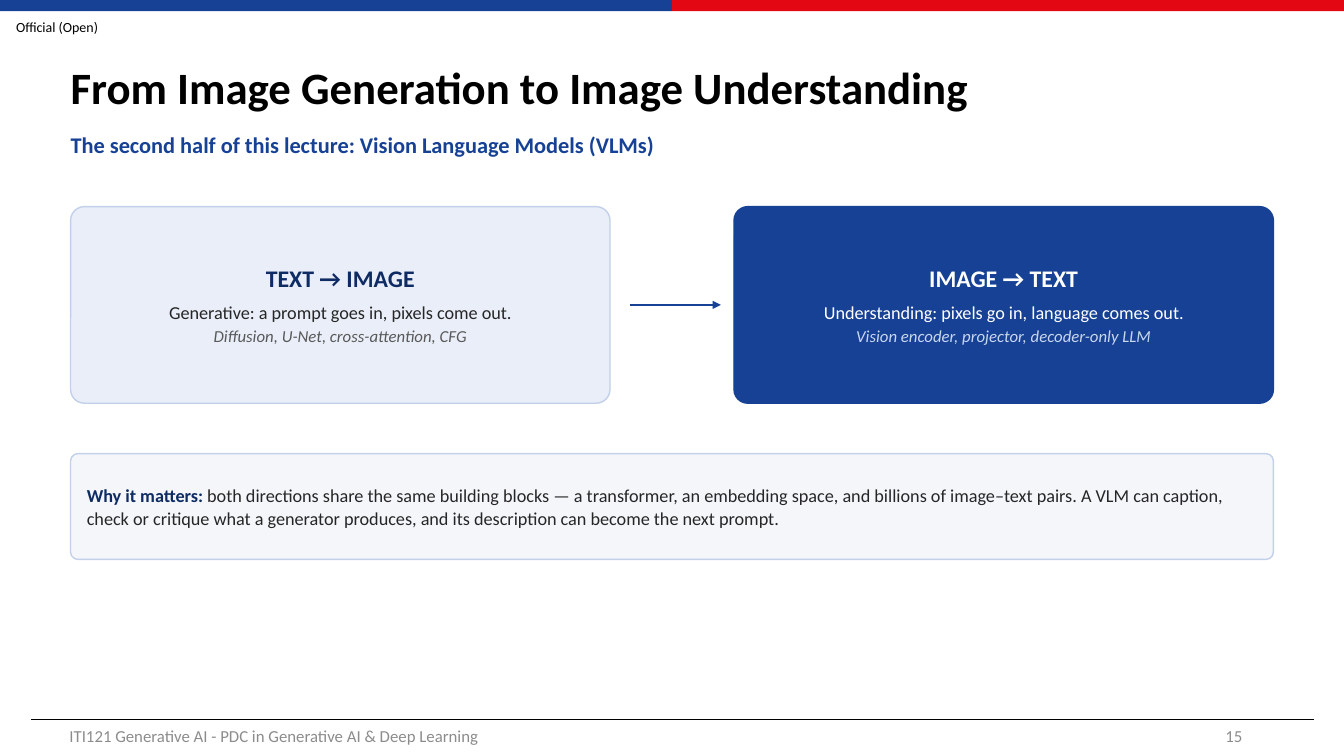
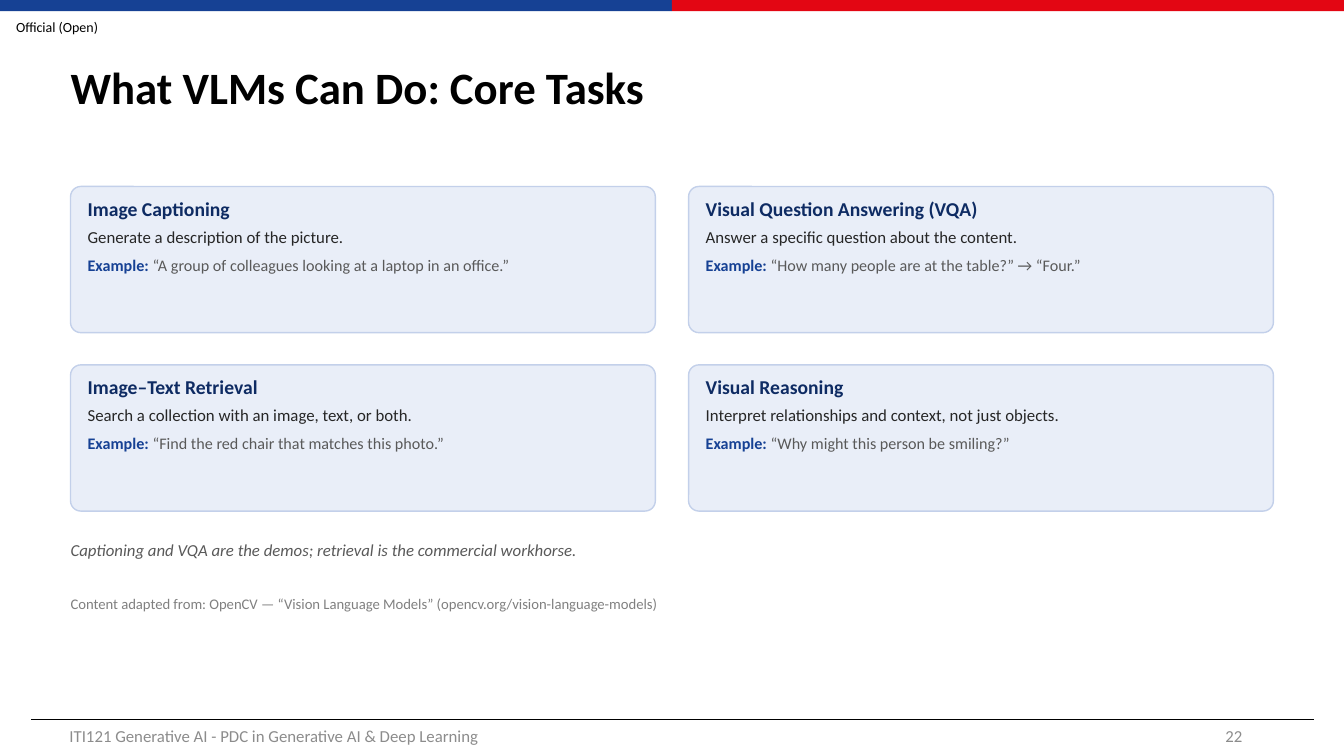
from lxml import etree
from pptx import Presentation
from pptx.dml.color import RGBColor
from pptx.enum.shapes import MSO_CONNECTOR, MSO_SHAPE
from pptx.enum.text import MSO_ANCHOR, PP_ALIGN
from pptx.oxml.ns import qn
from pptx.util import Pt

ROUNDED, RECTANGLE = MSO_SHAPE.ROUNDED_RECTANGLE, MSO_SHAPE.RECTANGLE
STRAIGHT = MSO_CONNECTOR.STRAIGHT
TOP, MIDDLE = MSO_ANCHOR.TOP, MSO_ANCHOR.MIDDLE
LEFT, CENTER, RIGHT = PP_ALIGN.LEFT, PP_ALIGN.CENTER, PP_ALIGN.RIGHT

EMU_PER_PX = 9144
SLIDE_WIDTH, SLIDE_HEIGHT = 1333, 750
MARGIN, CONTENT_WIDTH = 70, 1193
FONT = "Calibri"
TITLE_ONLY = 5

BLUE, RED, NAVY = "164194", "E30613", "0E2B63"
PALE, PANEL, BORDER, ICE = "E9EEF8", "F4F6FA", "C3D0EA", "C9D7F0"
BLACK, WHITE, INK = "000000", "FFFFFF", "262626"
GREY, FOOTER_GREY, SOURCE_GREY = "595959", "8C8C8C", "808080"

NO_INSETS = (0, 0)
FOOTER_INSETS = (10, 5)
CARD_INSETS = (14, 9)

COURSE = "ITI121 Generative AI - PDC in Generative AI & Deep Learning"
TASKS = [
    ("Image Captioning", "Generate a description of the picture.",
     "“A group of colleagues looking at a laptop in an office.”"),
    ("Visual Question Answering (VQA)",
     "Answer a specific question about the content.",
     "“How many people are at the table?” → “Four.”"),
    ("Image–Text Retrieval",
     "Search a collection with an image, text, or both.",
     "“Find the red chair that matches this photo.”"),
    ("Visual Reasoning",
     "Interpret relationships and context, not just objects.",
     "“Why might this person be smiling?”"),
]


def px(length):
    return round(length * EMU_PER_PX)


def rgb(value):
    return RGBColor.from_string(value)


def span(text, size, color, bold=False, italic=False):
    return text, size, color, bold, italic


def line(*spans, after=0, spacing=1.0):
    return spans, after, spacing


def write(frame, lines, insets, anchor=TOP, align=LEFT):
    frame.word_wrap = True
    frame.vertical_anchor = anchor
    frame.margin_left = frame.margin_right = px(insets[0])
    frame.margin_top = frame.margin_bottom = px(insets[1])
    for index, (spans, after, spacing) in enumerate(lines):
        paragraph = frame.add_paragraph() if index else frame.paragraphs[0]
        paragraph.alignment = align
        paragraph.space_after = Pt(after)
        paragraph.line_spacing = spacing
        for text, size, color, bold, italic in spans:
            run = paragraph.add_run()
            run.text = text
            run.font.name = FONT
            run.font.size = Pt(size)
            run.font.color.rgb = rgb(color)
            run.font.bold = bold
            run.font.italic = italic


def add_label(slide, box, content, insets=NO_INSETS, anchor=TOP, align=LEFT):
    label = slide.shapes.add_textbox(*map(px, box))
    write(label.text_frame, [line(content)], insets, anchor, align)


def add_block(slide, preset, box, fill, border=None):
    block = slide.shapes.add_shape(preset, *map(px, box))
    block.shadow.inherit = False
    block.fill.solid()
    block.fill.fore_color.rgb = rgb(fill)
    if border:
        block.line.color.rgb = rgb(border)
        block.line.width = Pt(1)
    else:
        block.line.fill.background()
    return block


def add_card(slide, box, lines, fill=PALE, border=BORDER, anchor=TOP, align=LEFT):
    card = add_block(slide, ROUNDED, box, fill, border)
    card.adjustments[0] = 0.07
    write(card.text_frame, lines, CARD_INSETS, anchor, align)


def add_rule(slide, left, right, y, color, width, arrow=False):
    rule = slide.shapes.add_connector(STRAIGHT, px(left), px(y), px(right), px(y))
    rule.line.color.rgb = rgb(color)
    rule.line.width = Pt(width)
    if arrow:
        etree.SubElement(rule.line._get_or_add_ln(), qn("a:tailEnd"), type="triangle")
    etree.SubElement(rule._element.spPr, qn("a:effectLst"))


def add_titled_slide(deck, title, number):
    slide = deck.slides.add_slide(deck.slide_layouts[TITLE_ONLY])
    heading = slide.shapes.title
    heading.left, heading.top, heading.width, heading.height = map(px, (60, 30, 1208, 118))
    write(heading.text_frame, [line(span(title, 32, BLACK, bold=True), spacing=0.9)],
          (10, 5), MIDDLE)

    half = SLIDE_WIDTH / 2
    for index, color in enumerate((BLUE, RED)):
        add_block(slide, RECTANGLE, (index * half, 0, half, 11), color)
    add_label(slide, (16, 12, 113, 29), span("Official (Open)", 10, BLACK), anchor=MIDDLE)
    add_rule(slide, 31, 1303, 714, BLACK, 0.5)
    add_label(slide, (59, 710, 450, 40), span(COURSE, 12, FOOTER_GREY),
              FOOTER_INSETS, MIDDLE)
    add_label(slide, (942, 710, 300, 40), span(number, 12, FOOTER_GREY),
              FOOTER_INSETS, MIDDLE, RIGHT)
    return slide


def add_direction(slide, box, heading, summary, methods, fill, border, colors):
    heading_color, summary_color, methods_color = colors
    add_card(slide, box, [
        line(span(heading, 17, heading_color, bold=True), after=6),
        line(span(summary, 13, summary_color), after=2),
        line(span(methods, 12, methods_color, italic=True)),
    ], fill, border, MIDDLE, CENTER)


def add_directions(slide, box):
    left, top, width, height = box
    card_width = 535
    right_card = left + width - card_width
    add_direction(slide, (left, top, card_width, height), "TEXT → IMAGE",
                  "Generative: a prompt goes in, pixels come out.",
                  "Diffusion, U-Net, cross-attention, CFG",
                  PALE, BORDER, (NAVY, INK, GREY))
    add_direction(slide, (right_card, top, card_width, height), "IMAGE → TEXT",
                  "Understanding: pixels go in, language comes out.",
                  "Vision encoder, projector, decoder-only LLM",
                  BLUE, BLUE, (WHITE, WHITE, ICE))
    add_rule(slide, left + card_width + 20, right_card - 13, top + height / 2,
             BLUE, 1.75, arrow=True)


def add_task_grid(slide, box, gap=(33, 32), columns=2):
    left, top, width, height = box
    rows = len(TASKS) // columns
    card_width = (width - gap[0] * (columns - 1)) / columns
    card_height = (height - gap[1] * (rows - 1)) / rows
    for index, (task, purpose, example) in enumerate(TASKS):
        row, column = divmod(index, columns)
        card_box = (left + column * (card_width + gap[0]),
                    top + row * (card_height + gap[1]), card_width, card_height)
        add_card(slide, card_box, [
            line(span(task, 14, NAVY, bold=True), after=4, spacing=0.95),
            line(span(purpose, 12, INK), after=6),
            line(span("Example: ", 11.5, BLUE, bold=True), span(example, 11.5, GREY)),
        ])


def build_transition(deck):
    slide = add_titled_slide(deck, "From Image Generation to Image Understanding", "15")
    add_label(slide, (MARGIN, 130, CONTENT_WIDTH, 40),
              span("The second half of this lecture: Vision Language Models (VLMs)",
                   16, BLUE, bold=True))
    add_directions(slide, (MARGIN, 205, CONTENT_WIDTH, 195))
    add_card(slide, (MARGIN, 450, CONTENT_WIDTH, 105), [line(
        span("Why it matters: ", 13, NAVY, bold=True),
        span("both directions share the same building blocks — a transformer, "
             "an embedding space, and billions of image–text pairs. A VLM can "
             "caption, check or critique what a generator produces, and its "
             "description can become the next prompt.", 13, INK),
        spacing=1.05)], PANEL, anchor=MIDDLE)


def build_core_tasks(deck):
    slide = add_titled_slide(deck, "What VLMs Can Do: Core Tasks", "22")
    add_task_grid(slide, (MARGIN, 185, CONTENT_WIDTH, 322))
    add_label(slide, (MARGIN, 535, CONTENT_WIDTH, 30),
              span("Captioning and VQA are the demos; retrieval is the commercial "
                   "workhorse.", 12, GREY, italic=True))
    add_label(slide, (MARGIN, 590, CONTENT_WIDTH, 30),
              span("Content adapted from: OpenCV — “Vision Language Models” "
                   "(opencv.org/vision-language-models)", 10.5, SOURCE_GREY))


def main():
    deck = Presentation()
    deck.slide_width, deck.slide_height = px(SLIDE_WIDTH), px(SLIDE_HEIGHT)
    build_transition(deck)
    build_core_tasks(deck)
    deck.save("out.pptx")


if __name__ == "__main__":
    main()
